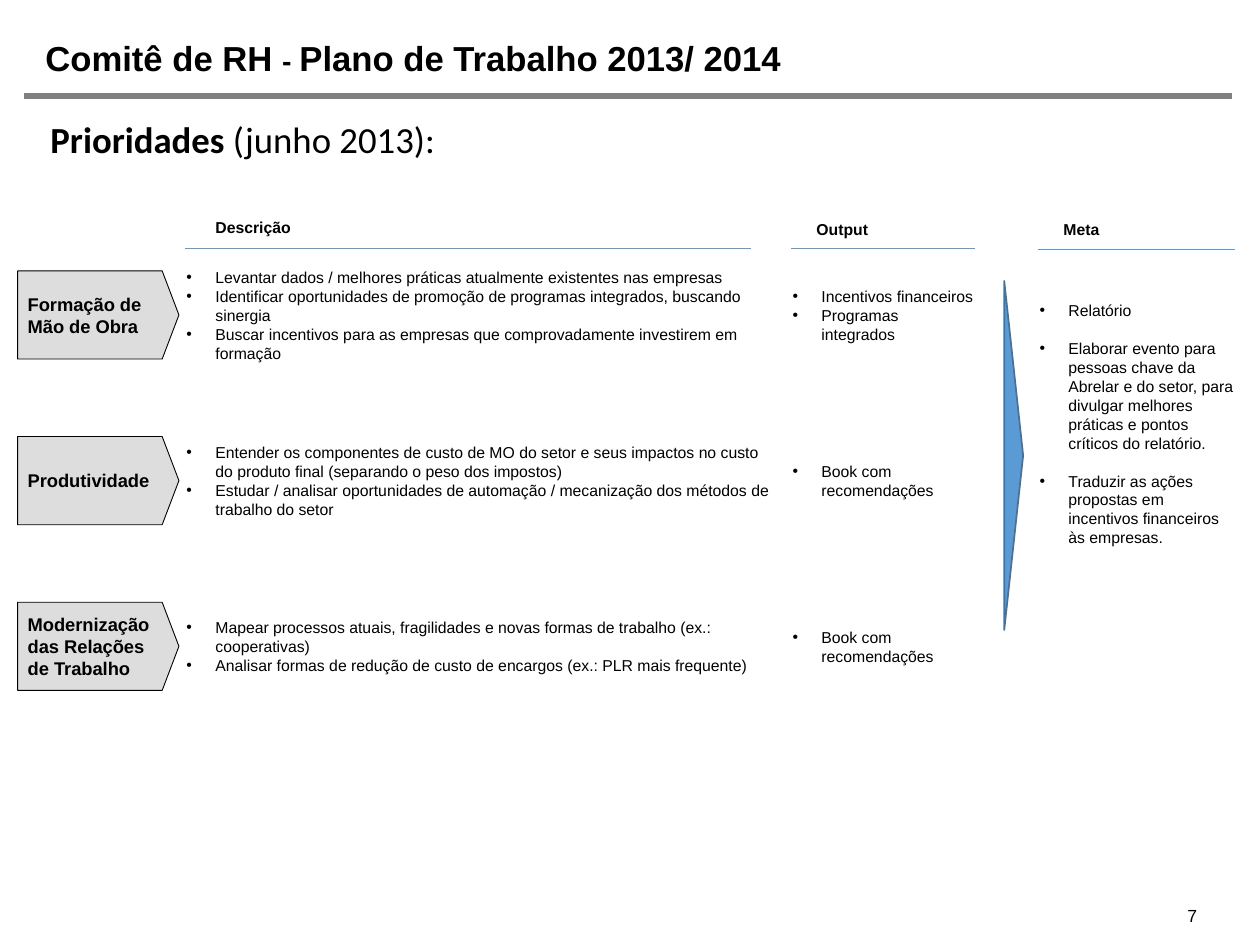
from pptx import Presentation
from pptx.dml.color import RGBColor
from pptx.enum.shapes import MSO_CONNECTOR, MSO_SHAPE
from pptx.enum.text import MSO_ANCHOR, PP_ALIGN
from pptx.oxml.ns import qn
from pptx.util import Inches, Pt
from lxml.etree import SubElement

WIDE, HIGH = 10, 7.5
FIRST, STEP = 2.5, 1.315  # middle of the first row, row pitch
# left and width of each column
TAG, DESC, OUT, META = (0.14, 1.28), (1.47, 4.66), (6.28, 1.46), (8.24, 1.56)
BLUE = "5B9BD5"

ROWS = [
    ("Formação de Mão de Obra",
     ["Levantar dados / melhores práticas atualmente existentes nas empresas",
      "Identificar oportunidades de promoção de programas integrados, buscando sinergia",
      "Buscar incentivos para as empresas que comprovadamente investirem em formação"],
     ["Incentivos financeiros", "Programas integrados"]),
    ("Produtividade",
     ["Entender os componentes de custo de MO do setor e seus impactos no custo "
      "do produto final (separando o peso dos impostos)",
      "Estudar / analisar oportunidades de automação / mecanização dos métodos de "
      "trabalho do setor"],
     ["Book com recomendações"]),
    ("Modernização das Relações de Trabalho",
     ["Mapear processos atuais, fragilidades e novas formas de trabalho (ex.: cooperativas)",
      "Analisar formas de redução de custo de encargos (ex.: PLR mais frequente)"],
     ["Book com recomendações"]),
]
GOALS = [
    "Relatório",
    "Elaborar evento para pessoas chave da Abrelar e do setor, para divulgar "
    "melhores práticas e pontos críticos do relatório.",
    "Traduzir as ações propostas em incentivos financeiros às empresas.",
]


def color(code):
    return RGBColor.from_string(code)


def style(font, size, bold=False, name="Arial"):
    font.name, font.size, font.bold = name, Pt(size), bold
    font.color.rgb = color("000000")


def paint(shape, fill, line, width):
    shape.shadow.inherit = False
    shape.fill.solid()
    shape.fill.fore_color.rgb = color(fill)
    shape.line.color.rgb = color(line)
    shape.line.width = Pt(width)


def rule(slide, left, right, y, code, width):
    line = slide.shapes.add_connector(
        MSO_CONNECTOR.STRAIGHT, *map(Inches, (left, y, right, y)))
    line.line.color.rgb = color(code)
    line.line.width = Pt(width)
    SubElement(line._element.spPr, qn("a:effectLst"))


def setup(frame, anchor):
    frame.word_wrap = True
    frame.vertical_anchor = anchor
    frame.margin_left = frame.margin_right = 0
    frame.margin_top = frame.margin_bottom = 0
    return frame


def write(slide, box, anchor=MSO_ANCHOR.MIDDLE):
    """Add a text box without margins and return its frame."""
    shape = slide.shapes.add_textbox(*map(Inches, box))
    return setup(shape.text_frame, anchor)


def label(slide, box, text, size, bold=False, anchor=MSO_ANCHOR.MIDDLE):
    par = write(slide, box, anchor).paragraphs[0]
    par.text = text
    style(par.font, size, bold)
    return par


def bullets(slide, box, items, gap=0):
    frame = write(slide, box)
    for i, item in enumerate(items):
        par = frame.add_paragraph() if i else frame.paragraphs[0]
        par.text = item
        props = par._p.get_or_add_pPr()
        props.set("marL", str(Inches(0.24)))
        props.set("indent", str(Inches(-0.23)))
        if i and gap:
            par.space_before = Pt(gap)
        SubElement(props, qn("a:buFont")).set("typeface", "Arial")
        SubElement(props, qn("a:buChar")).set("char", "•")
        style(par.font, 9)


def header(slide):
    rule(slide, 0.19, 9.78, 0.76, "808080", 3.2)
    title = write(slide, (0.36, 0.33, 8.01, 0.27), MSO_ANCHOR.TOP).paragraphs[0]
    title.line_spacing = 0.9
    for text, size in (("Comitê de RH ", 19.8), ("- ", 16.2),
                       ("Plano de Trabalho 2013/ 2014", 19.8)):
        run = title.add_run()
        run.text = text
        style(run.font, size, True)
    lead = write(slide, (0.4, 0.97, 8.22, 0.52), MSO_ANCHOR.TOP).paragraphs[0]
    lead.line_spacing = 0.9
    for text, bold in (("Prioridades", True), (" (junho 2013):", False)):
        run = lead.add_run()
        run.text = text
        style(run.font, 21, bold, "Calibri")


def heads(slide):
    for text, left, top, end, y in (
            ("Descrição", 1.71, 1.73, 5.96, 1.97),
            ("Output", 6.48, 1.74, sum(OUT), 1.97),
            ("Meta", 8.44, 1.74, sum(META), 1.98)):
        label(slide, (left, top, 1.3, 0.15), text, 9, True)
        start = max(x for x, _ in (DESC, OUT, META) if x < left)
        rule(slide, start, end, y, BLUE, 0.5)


def row(slide, mid, name, tasks, results):
    left, width = TAG
    tag = slide.shapes.add_shape(
        MSO_SHAPE.PENTAGON, *map(Inches, (left, mid - 0.35, width, 0.7)))
    tag.adjustments[0] = 0.19
    paint(tag, "DDDDDD", "000000", 0.5)
    frame = setup(tag.text_frame, MSO_ANCHOR.MIDDLE)
    frame.margin_left = Inches(0.08)
    par = frame.paragraphs[0]
    par.text = name
    par.alignment = PP_ALIGN.LEFT
    style(par.font, 10.5, True)
    for (left, width), items, high in ((DESC, tasks, 0.76), (OUT, results, 0.45)):
        bullets(slide, (left, mid - high / 2, width, high), items)


def goals(slide):
    wedge = slide.shapes.add_shape(
        MSO_SHAPE.ISOSCELES_TRIANGLE, *map(Inches, (6.66, 3.54, 2.77, 0.15)))
    wedge.rotation = 90
    paint(wedge, BLUE, "43739E", 1)
    left, width = META
    bullets(slide, (left, 2.38, width, 1.97), GOALS, 10.8)


def main():
    deck = Presentation()
    deck.slide_width, deck.slide_height = Inches(WIDE), Inches(HIGH)
    slide = deck.slides.add_slide(deck.slide_layouts[6])
    header(slide)
    heads(slide)
    for i, parts in enumerate(ROWS):
        row(slide, FIRST + i * STEP, *parts)
    goals(slide)
    page = label(slide, (7.16, 7.18, 2.34, 0.17), "7", 10, anchor=MSO_ANCHOR.BOTTOM)
    page.alignment = PP_ALIGN.RIGHT
    deck.save("out.pptx")


if __name__ == "__main__":
    main()
